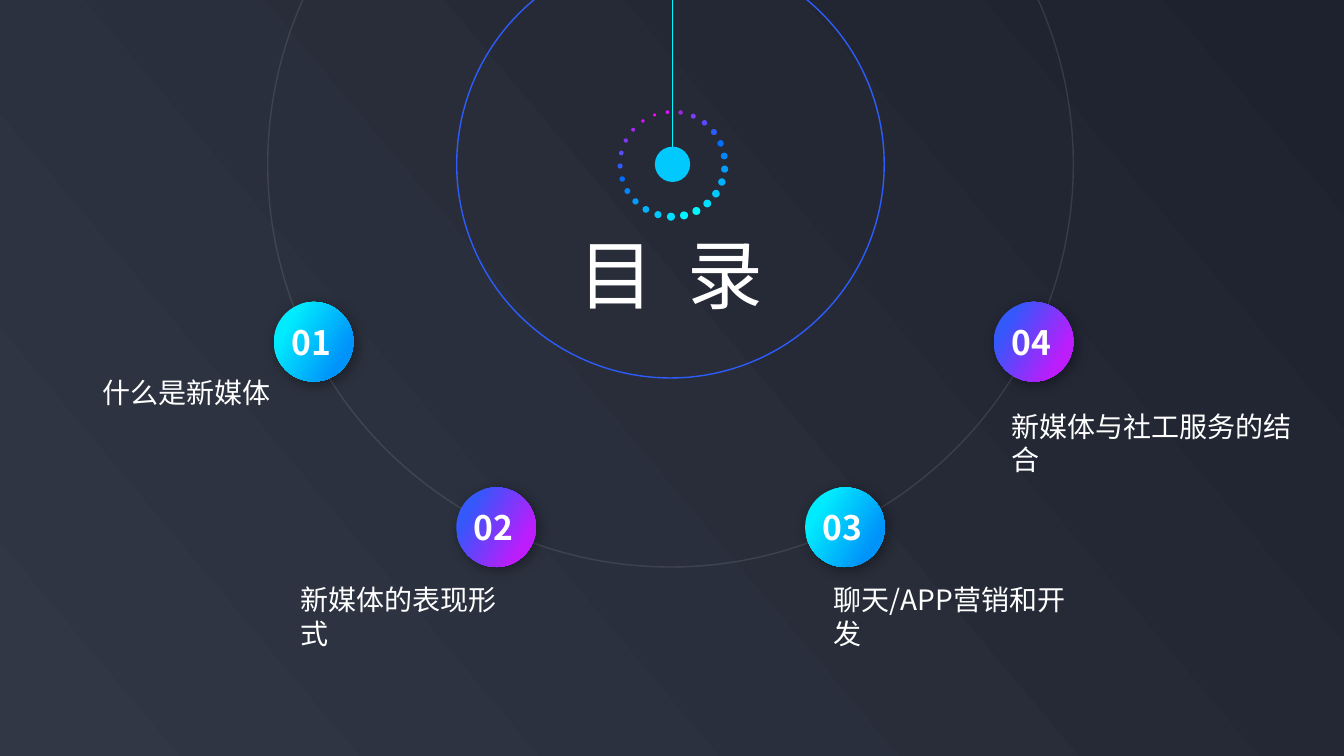
from math import cos, radians, sin

from lxml.etree import SubElement
from pptx import Presentation
from pptx.dml.color import RGBColor
from pptx.enum.shapes import MSO_CONNECTOR as Connector, MSO_SHAPE as Shape
from pptx.enum.text import MSO_ANCHOR as Anchor, PP_ALIGN as Align
from pptx.oxml.ns import qn
from pptx.util import Inches, Pt

FONT = "Noto Sans CJK SC"
WHITE = RGBColor(0xFF, 0xFF, 0xFF)
BLUE = RGBColor(0x2D, 0x5C, 0xFA)
CYAN = RGBColor(0x00, 0xF7, 0xFF)
SKY = RGBColor(0x01, 0xC9, 0xFD)
BACKDROP = RGBColor(0x31, 0x37, 0x45), RGBColor(0x1E, 0x22, 0x2E)
COOL = RGBColor(0x00, 0xEC, 0xFE), RGBColor(0x00, 0x94, 0xFA)
WARM = RGBColor(0x35, 0x58, 0xFB), RGBColor(0xBE, 0x1D, 0xFB)
DOT_COLORS = [RGBColor.from_string(code) for code in (
    "01DEFF 00F7FF 00F7FF 00DFFE 01C9FD 02B2FD 029CFD 0285FB 036EFA "
    "2D5CFA 5748FD 7D3EFC 9F26E7 D813FB FC02F9 D912FC AA27FB 7F39F6 "
    "564EFC 2E5CFB 026FF9 0384FB 029CFB 02B2FD 01C9FD").split()]

TITLE = "目 录"
CENTER_X, CENTER_Y = 6.65, 1.63
RINGS = [(7.99, WHITE, 10), (4.24, BLUE, 100)]
HUB_X, HUB_Y, HUB_SIZE = 6.67, 1.63, 0.35
DOT_RADIUS, FIRST_DOT_ANGLE, SMALLEST_DOT = 0.52, 91.7, 14
BADGE_SIZE = 0.79
CHAPTERS = [
    ("01", "什么是新媒体", -3.54, 3.39, COOL, (0.92, 3.68, 1.9)),
    ("02", "新媒体的表现形式", -1.73, 5.23, WARM, (2.88, 5.73, 2.36)),
    ("03", "聊天/APP营销和开发", 1.73, 5.23, COOL, (8.17, 5.73, 2.7)),
    ("04", "新媒体与社工服务的结合", 3.6, 3.39, WARM, (9.93, 4.01, 3.2)),
]


def set_gradient(fill, colors, positions, angle):
    fill.gradient()
    fill.gradient_angle = angle
    for stop, color, position in zip(fill.gradient_stops, colors, positions):
        stop.color.rgb = color
        stop.position = position


def add_circle(slide, x, y, size):
    circle = slide.shapes.add_shape(
        Shape.OVAL, Inches(x - size / 2), Inches(y - size / 2), Inches(size), Inches(size))
    circle.shadow.inherit = False
    circle.line.fill.background()
    return circle


def add_dot(slide, x, y, size, color):
    dot = add_circle(slide, x, y, size)
    dot.fill.solid()
    dot.fill.fore_color.rgb = color


def add_ring(slide, size, color, opacity):
    ring = add_circle(slide, CENTER_X, CENTER_Y, size)
    ring.fill.background()
    ring.line.width = Pt(1)
    ring.line.color.rgb = color
    color_element = next(ring.line._ln.iter(qn("a:srgbClr")))
    SubElement(color_element, qn("a:alpha"), val=str(opacity * 1000))


def write(frame, text, size, bold=False, spacing=0):
    paragraph = frame.paragraphs[0]
    paragraph.text = text
    paragraph.alignment = Align.LEFT
    font = paragraph.font
    font.name, font.size, font.bold = FONT, Pt(size), bold
    font.color.rgb = WHITE
    properties = paragraph._p.pPr.find(qn("a:defRPr"))
    properties.set("spc", str(spacing * 100))
    SubElement(properties, qn("a:ea"), typeface=FONT)


def add_text(slide, left, top, width, height, text, size, spacing=0):
    box = slide.shapes.add_textbox(Inches(left), Inches(top), Inches(width), Inches(height))
    box.text_frame.word_wrap = True
    write(box.text_frame, text, size, spacing=spacing)


def add_badge(slide, x, y, colors, number):
    badge = add_circle(slide, x, y, BADGE_SIZE)
    set_gradient(badge.fill, colors, (0.21, 0.8), 330)
    effects = badge._element.spPr.find(qn("a:effectLst"))
    shadow = SubElement(effects, qn("a:outerShdw"), blurRad=str(Pt(10)),
                        dist=str(Pt(3)), dir=str(45 * 60000), rotWithShape="0")
    shade = SubElement(shadow, qn("a:srgbClr"), val="000000")
    SubElement(shade, qn("a:alpha"), val="40000")
    frame = badge.text_frame
    frame.word_wrap = False
    frame.vertical_anchor = Anchor.MIDDLE
    frame.margin_left = Inches(0.06)
    frame.margin_right = frame.margin_top = frame.margin_bottom = 0
    write(frame, number, 24, bold=True)


def add_pendulum(slide):
    cord = slide.shapes.add_connector(
        Connector.STRAIGHT, Inches(HUB_X), Inches(-3.03), Inches(HUB_X), Inches(1.7))
    cord.line.color.rgb = CYAN
    cord.line.width = Pt(0.5)
    SubElement(cord._element.spPr, qn("a:effectLst"))
    add_dot(slide, HUB_X, HUB_Y, HUB_SIZE, SKY)
    rising = len(DOT_COLORS) - 1 - SMALLEST_DOT
    for index, color in enumerate(DOT_COLORS):
        angle = radians(FIRST_DOT_ANGLE - index * 360 / len(DOT_COLORS))
        if index <= SMALLEST_DOT:
            size = 0.08 - 0.05 * (index / SMALLEST_DOT) ** 2
        else:
            size = 0.03 + 0.04 * (index - SMALLEST_DOT) / rising
        add_dot(slide, HUB_X + DOT_RADIUS * cos(angle),
                HUB_Y + DOT_RADIUS * sin(angle), size, color)


def main():
    """Build the contents slide with its four chapter badges on a ring."""
    presentation = Presentation()
    presentation.slide_width, presentation.slide_height = Inches(13.33), Inches(7.5)
    slide = presentation.slides.add_slide(presentation.slide_layouts[6])
    set_gradient(slide.background.fill, BACKDROP, (0, 1), 40)
    for ring in RINGS:
        add_ring(slide, *ring)
    add_pendulum(slide)
    add_text(slide, 5.64, 2.21, 2.3, 1.01, TITLE, 54, spacing=6)
    for number, label, offset, y, colors, place in CHAPTERS:
        add_text(slide, *place, 0.44, label, 20)
        add_badge(slide, CENTER_X + offset, y, colors, number)
    presentation.save("out.pptx")


if __name__ == "__main__":
    main()
